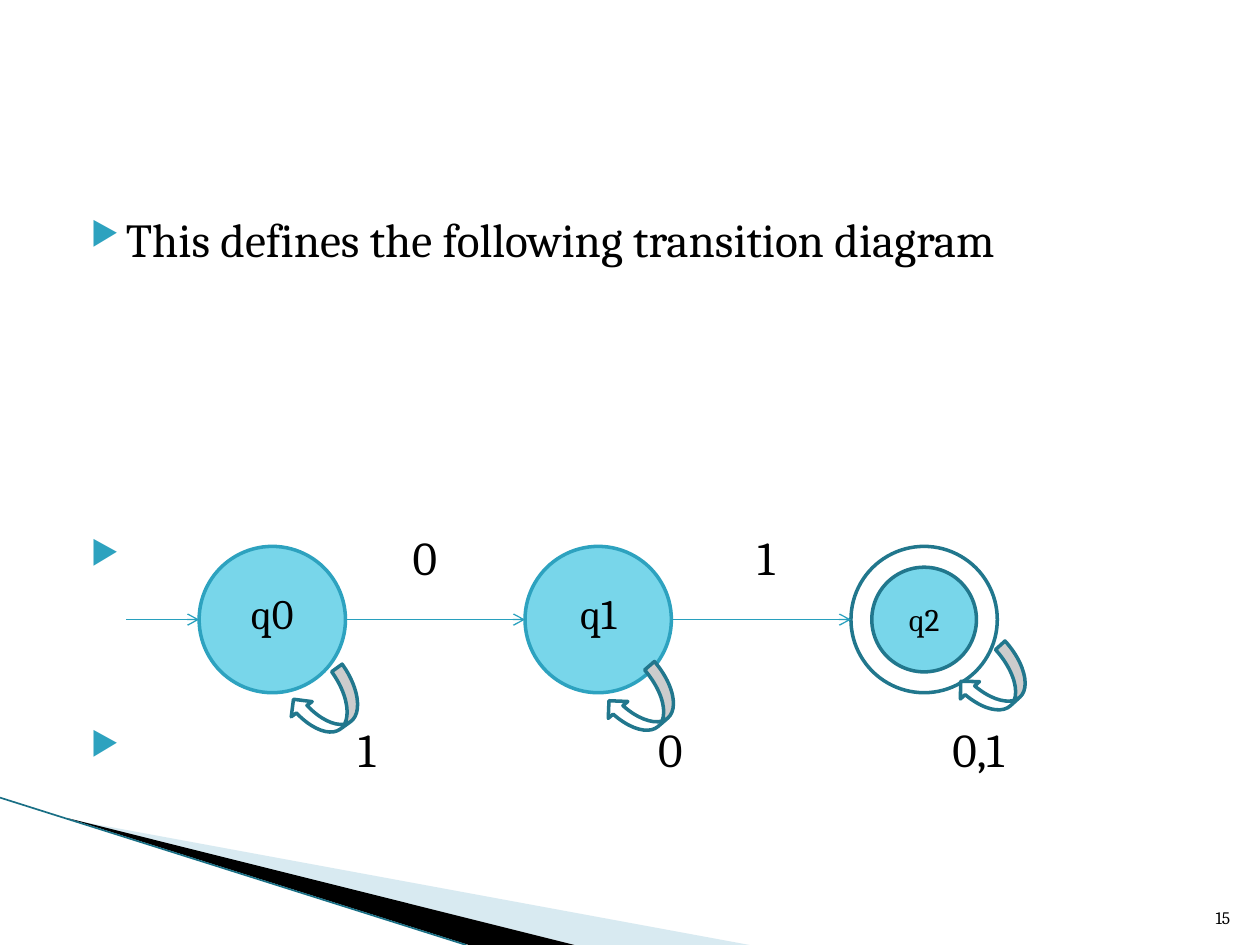
from dataclasses import dataclass

from lxml.etree import SubElement
from pptx import Presentation
from pptx.dml.color import RGBColor
from pptx.enum.shapes import MSO_CONNECTOR, MSO_SHAPE
from pptx.enum.text import MSO_ANCHOR, PP_ALIGN
from pptx.oxml.ns import qn
from pptx.util import Cm, Pt

FONT = "Cambria"
BLACK = RGBColor(0x00, 0x00, 0x00)
WHITE = RGBColor(0xFF, 0xFF, 0xFF)
PALE_BLUE = RGBColor(0x9F, 0xCB, 0xDC)
SKY = RGBColor(0x78, 0xD6, 0xEA)
TEAL = RGBColor(0x2D, 0xA2, 0xBF)
ARROW_TEAL = RGBColor(0x28, 0xA0, 0xBE)
DARK_TEAL = RGBColor(0x21, 0x77, 0x8D)
EDGE_TEAL = RGBColor(0x19, 0x6F, 0x85)

# Lengths in centimetres
STATE_SIZE = 2.95
ACCEPT_SIZE = 2.11
AXIS_Y = 12.49
FIRST_X = 5.49
STATE_PITCH = 6.57
TEXT_INDENT = 1.02


@dataclass
class BulletLine:
    text: str
    space_before: float
    tabs: tuple = ()


@dataclass
class Loop:
    left: float
    top: float
    rotation: float


BULLET_LINES = [
    BulletLine("This defines the following transition diagram", 4),
    BulletLine("\t0\t1", 149.5, (6.8, 13.75)),
    BulletLine("\t1\t0\t0,1", 77, (5.7, 11.75, 17.68)),
]
LOOPS = [Loop(5.87, 13.72, 144.2), Loop(12.24, 13.69, 139.2), Loop(19.33, 13.28, 137.7)]


def add_run(paragraph, text: str, size: float) -> None:
    run = paragraph.add_run()
    run.text = text
    run.font.name = FONT
    run.font.size = Pt(size)
    run.font.color.rgb = BLACK


def add_wedge(slide, points: list, color: RGBColor):
    builder = slide.shapes.build_freeform(Cm(points[0][0]), Cm(points[0][1]))
    builder.add_line_segments([(Cm(x), Cm(y)) for x, y in points[1:]], close=True)
    shape = builder.convert_to_shape()
    shape.shadow.inherit = False
    shape.fill.solid()
    shape.fill.fore_color.rgb = color
    shape.line.fill.background()
    return shape


def add_line(slide, start: tuple, end: tuple, color: RGBColor, width: float, arrow: bool) -> None:
    connector = slide.shapes.add_connector(
        MSO_CONNECTOR.STRAIGHT, Cm(start[0]), Cm(start[1]), Cm(end[0]), Cm(end[1]))
    connector.line.color.rgb = color
    connector.line.width = Pt(width)
    if arrow:
        SubElement(connector.line._get_or_add_ln(), qn("a:tailEnd"), type="arrow")
    SubElement(connector._element.spPr, qn("a:effectLst"))


def add_outlined(slide, kind, box: tuple, fill: RGBColor, line: RGBColor):
    shape = slide.shapes.add_shape(kind, *(Cm(value) for value in box))
    shape.shadow.inherit = False
    shape.fill.solid()
    shape.fill.fore_color.rgb = fill
    shape.line.color.rgb = line
    shape.line.width = Pt(2)
    return shape


def add_circle(slide, center_x: float, size: float, fill: RGBColor, line: RGBColor):
    box = (center_x - size / 2, AXIS_Y - size / 2, size, size)
    return add_outlined(slide, MSO_SHAPE.OVAL, box, fill, line)


def label_state(shape, text: str, size: float, lift: float = 0) -> None:
    frame = shape.text_frame
    frame.vertical_anchor = MSO_ANCHOR.MIDDLE
    frame.margin_bottom = Cm(0.13 + 2 * lift)
    frame.paragraphs[0].alignment = PP_ALIGN.CENTER
    add_run(frame.paragraphs[0], text, size)


def add_bullet(paragraph, line: BulletLine) -> None:
    paragraph.space_before = Pt(line.space_before)
    properties = paragraph._p.get_or_add_pPr()
    properties.set("marL", str(Cm(TEXT_INDENT)))
    properties.set("indent", str(-Cm(0.71)))
    color = SubElement(properties, qn("a:buClr"))
    SubElement(color, qn("a:srgbClr"), val=str(TEAL))
    SubElement(properties, qn("a:buSzPct"), val="68000")
    SubElement(properties, qn("a:buChar"), char="▶")
    if line.tabs:
        tab_list = SubElement(properties, qn("a:tabLst"))
        for position in line.tabs:
            SubElement(tab_list, qn("a:tab"), pos=str(Cm(position)), algn="l")
    add_run(paragraph, line.text, 27)


def add_text_box(slide, left: float, top: float, width: float, height: float):
    frame = slide.shapes.add_textbox(Cm(left), Cm(top), Cm(width), Cm(height)).text_frame
    frame.word_wrap = True
    return frame


def main() -> None:
    presentation = Presentation()
    presentation.slide_width, presentation.slide_height = Cm(25.4), Cm(19.05)
    slide = presentation.slides.add_slide(presentation.slide_layouts[6])

    # Corner decoration
    pale = add_wedge(slide, [(1.4, 16.52), (15.11, 19.05), (11.58, 19.05)], PALE_BLUE)
    pale_color = pale.fill._xPr.find(qn("a:solidFill"))[0]
    SubElement(pale_color, qn("a:alpha"), val="40000")
    add_wedge(slide, [(1.35, 16.49), (11.58, 19.05), (9.45, 19.05)], BLACK)
    add_line(slide, (0, 16.08), (9.4, 19.05), EDGE_TEAL, 0.96, arrow=False)

    # Bulleted text with the transition labels
    body = add_text_box(slide, 1.27, 4.11, 22.86, 12.57)
    for index, line in enumerate(BULLET_LINES):
        add_bullet(body.add_paragraph() if index else body.paragraphs[0], line)

    # Slide number
    number = add_text_box(slide, 24.03, 17.81, 1.02, 1.02)
    number.vertical_anchor = MSO_ANCHOR.BOTTOM
    number.paragraphs[0].alignment = PP_ALIGN.RIGHT
    add_run(number.paragraphs[0], "15", 10)

    # States, the last one accepting
    centers = [FIRST_X + index * STATE_PITCH for index in range(3)]
    for index, center in enumerate(centers[:2]):
        label_state(add_circle(slide, center, STATE_SIZE, SKY, TEAL), f"q{index}", 24, lift=0.13)
    add_circle(slide, centers[2], STATE_SIZE, WHITE, DARK_TEAL)
    label_state(add_circle(slide, centers[2], ACCEPT_SIZE, SKY, DARK_TEAL), "q2", 18)

    # Arrows into each state
    radius = STATE_SIZE / 2
    starts = [2.54] + [center + radius for center in centers[:2]]
    for start, center in zip(starts, centers):
        add_line(slide, (start, AXIS_Y), (center - radius, AXIS_Y), ARROW_TEAL, 0.75, arrow=True)

    # Loops back to the same state
    for loop in LOOPS:
        shape = add_outlined(slide, MSO_SHAPE.CURVED_DOWN_ARROW,
                             (loop.left, loop.top, 1.47, 1.04), WHITE, DARK_TEAL)
        shape.rotation = loop.rotation

    presentation.save("out.pptx")


if __name__ == "__main__":
    main()
